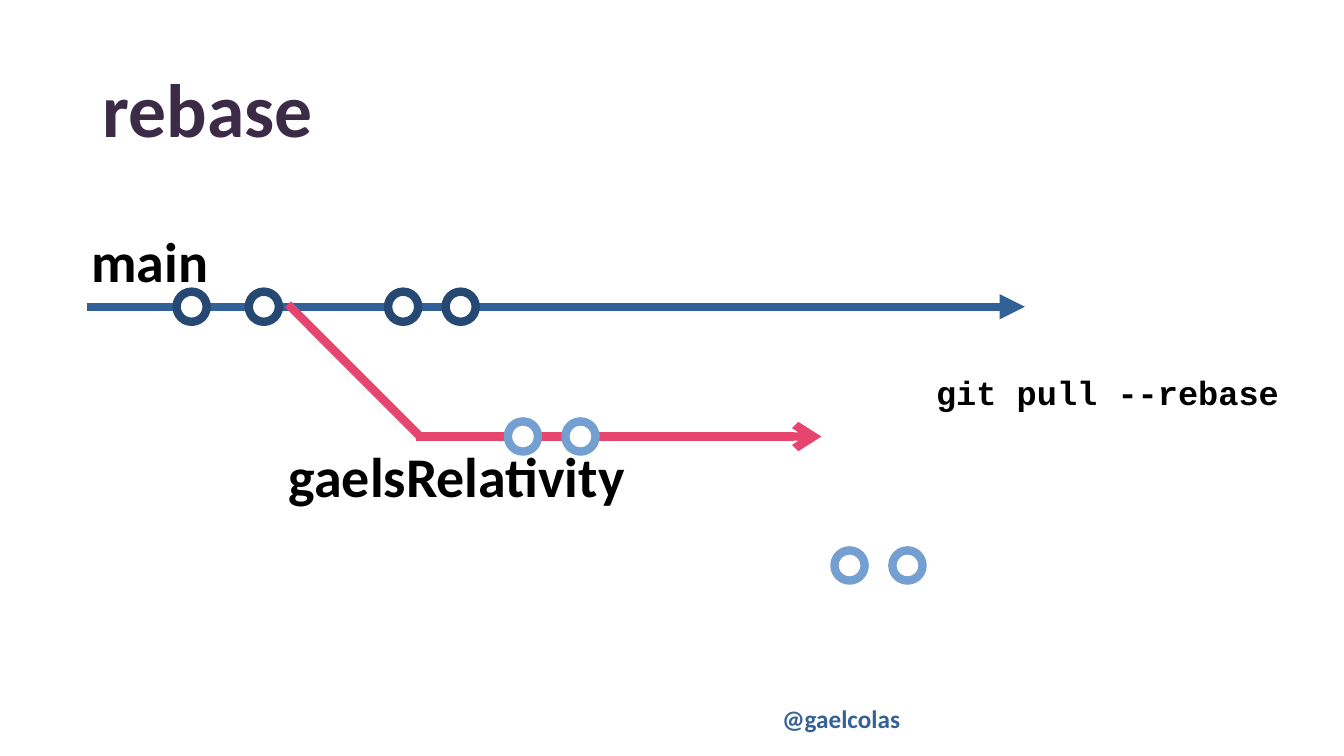
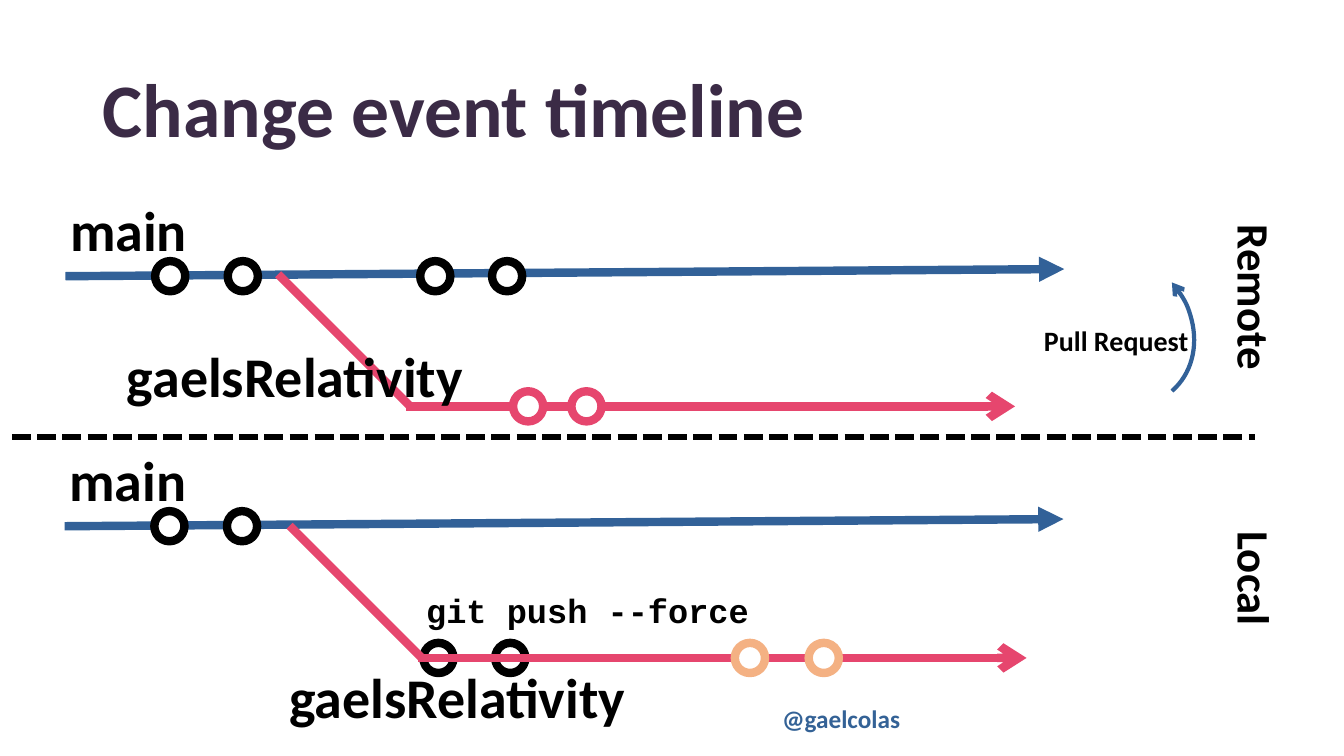
from lxml import etree
from pptx import Presentation
from pptx.dml.color import RGBColor
from pptx.enum import dml, shapes, text
from pptx.oxml import ns
from pptx.util import Cm, Pt

BLACK, WHITE = "000000", "FFFFFF"
BLUE, NAVY, SKY = "326198", "254972", "749FD1"
PINK, ORANGE = "E6466E", "F4B183"
PLUM, FOOTER_BLUE = "3B2B46", "346296"
BODY_FONT, CODE_FONT = "Calibri", "Courier New"
COMMIT_SIZE = 0.76
FORK_SIZE = 3.33
FORK_OVERLAP = 0.1


def colour(value):
    return RGBColor.from_string(value)


def write(frame, words, size, value=BLACK, font=BODY_FONT, align=text.PP_ALIGN.LEFT):
    frame.word_wrap = True
    para = frame.paragraphs[0]
    para.alignment = align
    span = para.add_run()
    span.text = words
    span.font.name = font
    span.font.size = Pt(size)
    span.font.bold = True
    span.font.color.rgb = colour(value)
    return para


def add_label(page, left, top, width, height, words, size, **style):
    box = page.shapes.add_textbox(Cm(left), Cm(top), Cm(width), Cm(height))
    write(box.text_frame, words, size, **style)
    return box


def style_line(line, value, width, end=None, arrow=None):
    line.color.rgb = colour(value)
    line.width = Pt(width)
    if end:
        etree.SubElement(line._get_or_add_ln(), ns.qn(f"a:{end}"), type=arrow)


def add_line(page, start, stop, value, arrow=None, width=6):
    connector = page.shapes.add_connector(
        shapes.MSO_CONNECTOR.STRAIGHT, *[Cm(length) for length in (*start, *stop)])
    style_line(connector.line, value, width, arrow and "tailEnd", arrow)
    etree.SubElement(connector._element.spPr, ns.qn("a:effectLst"))
    return connector


def add_commits(page, left, middle, offsets, value):
    for offset in offsets:
        commit = page.shapes.add_shape(
            shapes.MSO_SHAPE.OVAL, Cm(left + offset - COMMIT_SIZE / 2),
            Cm(middle - COMMIT_SIZE / 2), Cm(COMMIT_SIZE), Cm(COMMIT_SIZE))
        commit.shadow.inherit = False
        commit.fill.solid()
        commit.fill.fore_color.rgb = colour(WHITE)
        style_line(commit.line, value, 6)


def add_main(page, left, top, length, offsets, value, rise=0):
    add_line(page, (left, top), (left + length, top - rise), BLUE, "triangle")
    add_commits(page, left, top, offsets, value)
    add_label(page, left - 0.13, top - 2.15, 8.43, 1.96, "main", 40)


def add_branch(page, left, top, length, offsets, value, label_shift, pushed=()):
    corner, level = left + FORK_SIZE, top + FORK_SIZE
    add_commits(page, left, level, pushed, BLACK)
    add_line(page, (left, top), (corner, level), PINK)
    start = corner - FORK_OVERLAP
    add_line(page, (start, level), (start + length, level), PINK, "arrow")
    add_commits(page, left, level, offsets, value)
    across, down = label_shift
    add_label(page, left + across, top + down, 10.39, 1.96, "gaelsRelativity", 40)


def add_side_name(page, top, words):
    box = add_label(page, 28.35, top, 6.55, 1.63, words, 32, align=text.PP_ALIGN.CENTER)
    box.rotation = 90


def add_pull_request(page, left, top):
    arc = page.shapes.add_shape(
        shapes.MSO_SHAPE.ARC, Cm(left + 0.05), Cm(top), Cm(4.14), Cm(3.58))
    arc.rotation = 49.1
    arc.shadow.inherit = False
    arc.fill.background()
    style_line(arc.line, BLUE, 3, "headEnd", "arrow")
    add_label(page, left, top + 1.53, 4.67, 1.12, "Pull Request", 20)


def add_page(deck, heading):
    page = deck.slides.add_slide(deck.slide_layouts[5])
    add_label(page, 19.46, 17.6, 6.32, 1.02, "@gaelcolas", 18, value=FOOTER_BLUE)
    title = page.shapes.title
    title.left, title.top, title.width, title.height = Cm(2.34), Cm(1.02), Cm(27.03), Cm(3.68)
    title.text_frame.vertical_anchor = text.MSO_ANCHOR.MIDDLE
    title.text_frame.auto_size = text.MSO_AUTO_SIZE.NONE
    write(title.text_frame, heading, 54, PLUM).line_spacing = 0.9
    return page


def build_rebase(deck):
    page = add_page(deck, "rebase")
    add_main(page, 2.18, 7.73, 23.65, (2.65, 4.47, 7.98, 9.43), NAVY)
    add_branch(page, 7.26, 7.67, 10.21, (5.92, 7.37), SKY, (-0.23, 3.33))
    add_label(page, 23.34, 9.25, 9.35, 1.27, "git pull --rebase", 24, font=CODE_FONT)
    add_commits(page, 21.41, 14.25, (0, 1.46), SKY)


def build_timeline(deck):
    page = add_page(deck, "Change event timeline")
    add_main(page, 1.65, 6.96, 25.17, (2.64, 4.47, 9.32, 11.13), BLACK, rise=0.18)
    divider = add_line(page, (0.3, 11.02), (31.62, 11.02), BLACK, width=4.5)
    divider.line.dash_style = dml.MSO_LINE.SQUARE_DOT
    add_side_name(page, 6.68, "Remote")
    add_side_name(page, 13.77, "Local")
    add_main(page, 1.63, 13.26, 25.17, (2.64, 4.47), BLACK, rise=0.18)
    add_branch(page, 7.01, 6.91, 15.34, (6.3, 7.77), PINK, (-4.06, 1.57))
    add_branch(page, 7.3, 13.25, 15.34, (11.6, 13.46), ORANGE, (-0.26, 3.31),
               pushed=(3.75, 5.56))
    add_label(page, 10.49, 14.73, 9.04, 1.27, "git push --force", 24, font=CODE_FONT)
    add_pull_request(page, 26.06, 6.5)


def main():
    deck = Presentation()
    deck.slide_width, deck.slide_height = Cm(33.87), Cm(19.05)
    build_rebase(deck)
    build_timeline(deck)
    deck.save("out.pptx")


if __name__ == "__main__":
    main()
